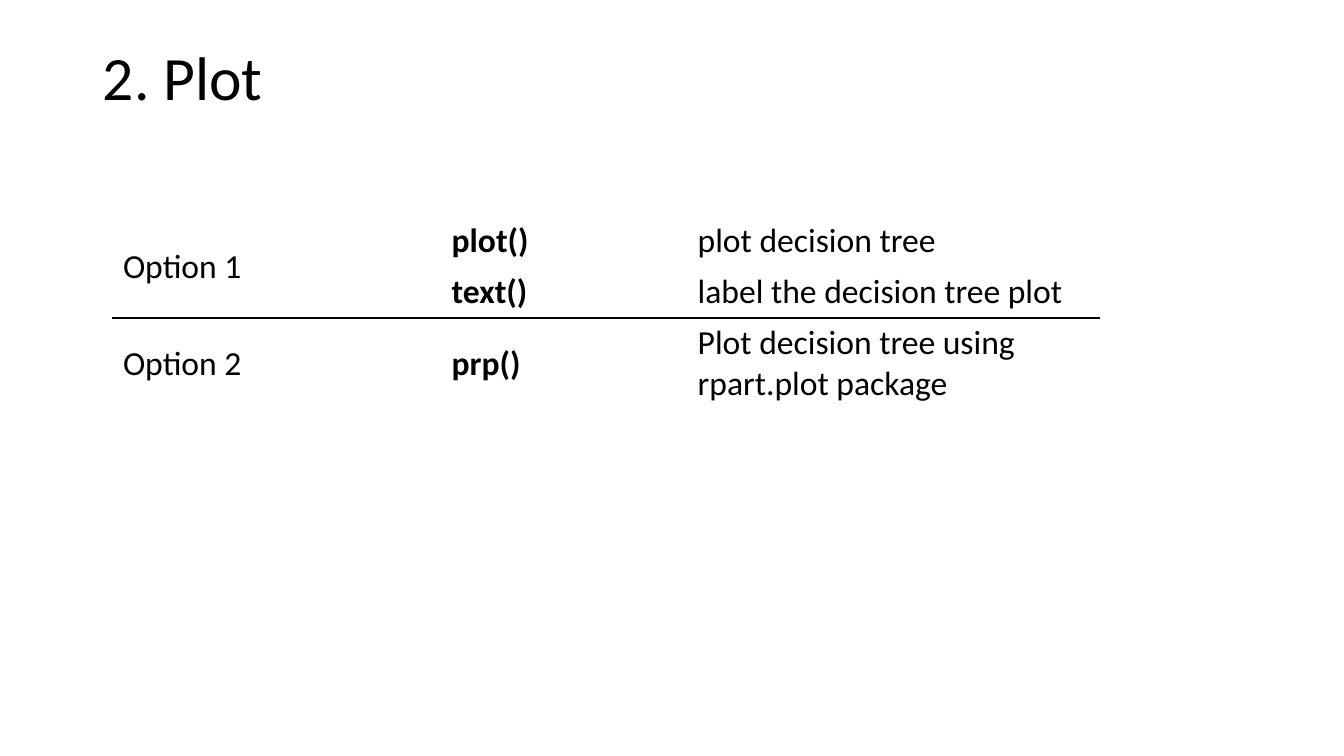
from dataclasses import dataclass

from lxml.etree import SubElement
from pptx import Presentation
from pptx.dml.color import RGBColor
from pptx.enum.text import MSO_ANCHOR, PP_ALIGN
from pptx.oxml import parse_xml
from pptx.oxml.ns import nsdecls, qn
from pptx.slide import Slide
from pptx.table import _Cell
from pptx.text.text import TextFrame
from pptx.util import Inches, Pt

COLORS = {"text": "000000", "rule": "000000"}
FONT = "Calibri"
COLUMN_WIDTHS = (3.26, 2.44, 4.08)
ROW_HEIGHTS = (0.5, 0.5, 0.9)


@dataclass(frozen=True)
class PlotCall:
    option: str
    function: str
    purpose: str


PLOT_CALLS = (
    PlotCall("Option 1", "plot()", "plot decision tree"),
    PlotCall("", "text()", "label the decision tree plot"),
    PlotCall("Option 2", "prp()", "Plot decision tree using rpart.plot package"),
)


def write_text(tf: TextFrame, text: str, size: int, bold: bool = False) -> None:
    p = tf.paragraphs[0]
    p.alignment = PP_ALIGN.LEFT
    r = p.add_run()
    r.text = text
    r.font.name = FONT
    r.font.size = Pt(size)
    r.font.bold = bold
    r.font.color.rgb = RGBColor.from_string(COLORS["text"])


def add_rule(cell: _Cell, side: str) -> None:
    """Draw a 1 pt border on one side of the cell: lnT or lnB."""
    line = parse_xml(f'<a:{side} {nsdecls("a")} w="{Pt(1)}"/>')
    fill = SubElement(line, qn("a:solidFill"))
    SubElement(fill, qn("a:srgbClr"), val=COLORS["rule"])
    cell._tc.get_or_add_tcPr().insert(0, line)


def add_title(s: Slide, text: str) -> None:
    title = s.shapes.title
    title.left, title.top = Inches(0.92), Inches(0.07)
    title.width, title.height = Inches(11.5), Inches(1.45)
    tf = title.text_frame
    tf.vertical_anchor = MSO_ANCHOR.MIDDLE
    write_text(tf, text, 44)
    tf.paragraphs[0].line_spacing = 0.9


def add_plot_table(s: Slide) -> None:
    table = s.shapes.add_table(
        len(PLOT_CALLS), len(COLUMN_WIDTHS), Inches(1.12), Inches(2.14),
        Inches(sum(COLUMN_WIDTHS)), Inches(sum(ROW_HEIGHTS)),
    ).table
    table.first_row = table.horz_banding = False
    for column, width in zip(table.columns, COLUMN_WIDTHS):
        column.width = Inches(width)
    for row, height in zip(table.rows, ROW_HEIGHTS):
        row.height = Inches(height)
    table.cell(0, 0).merge(table.cell(1, 0))

    for row, call in zip(table.rows, PLOT_CALLS):
        for cell, text in zip(row.cells, (call.option, call.function, call.purpose)):
            cell.fill.background()
            cell.vertical_anchor = MSO_ANCHOR.MIDDLE
            if text:
                write_text(cell.text_frame, text, 24, bold=text == call.function)

    for column in range(len(COLUMN_WIDTHS)):
        for row, side in ((0, "lnB"), (1, "lnB"), (2, "lnT")):
            if row or column == 0:
                add_rule(table.cell(row, column), side)


def main() -> None:
    prs = Presentation()
    prs.slide_width, prs.slide_height = Inches(13.33), Inches(7.5)
    s = prs.slides.add_slide(prs.slide_layouts[5])
    add_title(s, "2. Plot")
    add_plot_table(s)
    prs.save("out.pptx")


if __name__ == "__main__":
    main()
